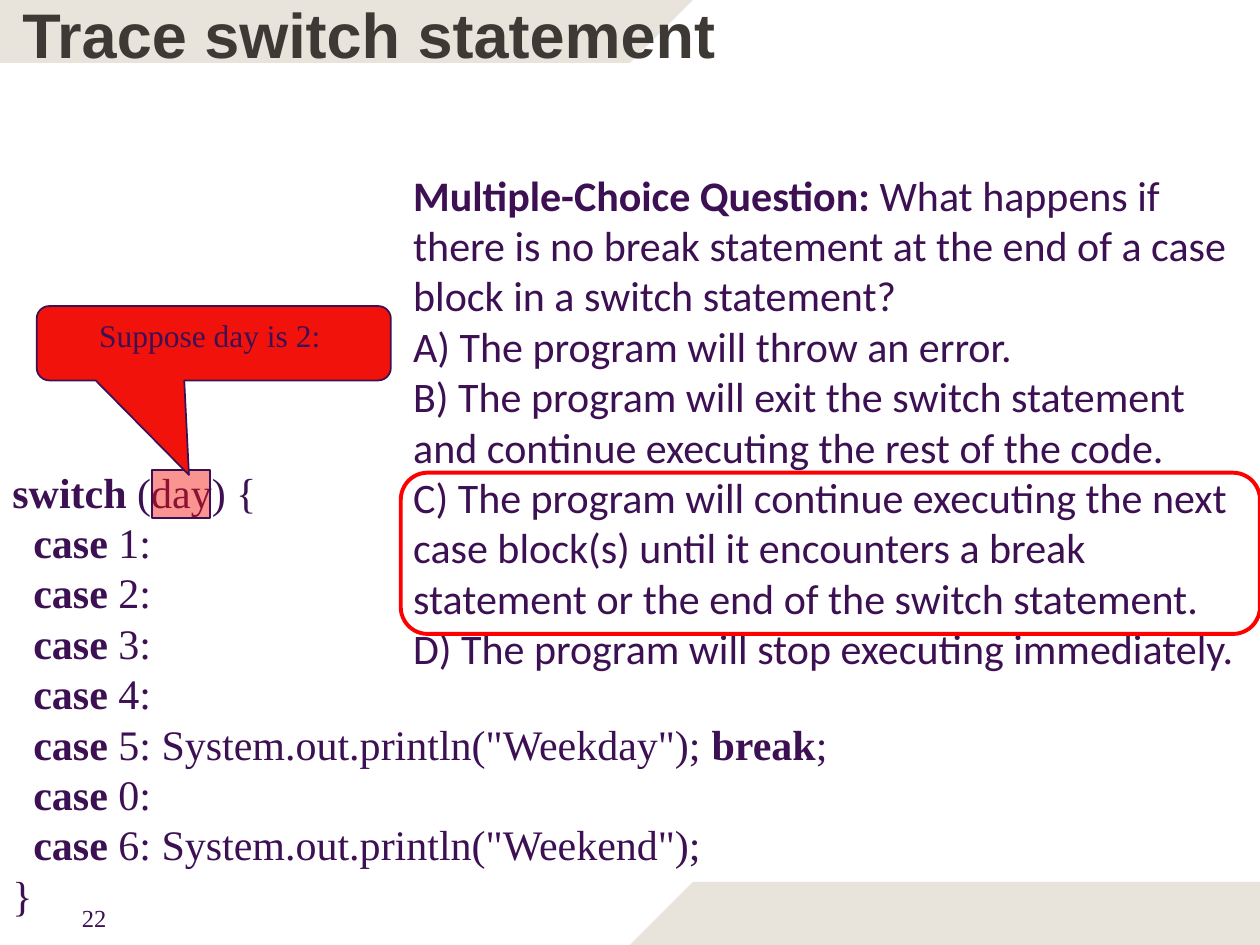
from dataclasses import dataclass

from lxml.etree import SubElement
from pptx import Presentation
from pptx.dml.color import RGBColor as Rgb
from pptx.enum.shapes import MSO_SHAPE as Shape
from pptx.enum.text import MSO_ANCHOR as Anchor, PP_ALIGN as Align
from pptx.oxml.ns import qn
from pptx.util import Cm, Pt

# Content: every paragraph is a list of (text, bold) spans
TITLE = "Trace switch statement"
PAGE_NUMBER = "22"
CALLOUT = "Suppose day is 2:"
CASES = [
    ("1", ""),
    ("2", ""),
    ("3", ""),
    ("4", ""),
    ("5", ' System.out.println("Weekday"); '),
    ("0", ""),
    ("6", ' System.out.println("Weekend");'),
]
BREAK_CASE = "5"
QUESTION = [
    ("Multiple-Choice Question: ", True),
    ("What happens if there is no break statement at the end of a case "
     "block in a switch statement?", False),
]
OPTIONS = [
    "A) The program will throw an error.",
    "B) The program will exit the switch statement and continue executing "
    "the rest of the code.",
    "C) The program will continue executing the next case block(s) until it "
    "encounters a break statement or the end of the switch statement.",
    "D) The program will stop executing immediately.",
]


@dataclass(frozen=True)
class Theme:
    ink = Rgb.from_string("3C1053")
    heading = Rgb.from_string("3D3935")
    band = Rgb.from_string("E8E3DB")
    red = Rgb.from_string("F2120C")
    answer = Rgb.from_string("FF0000")
    title_size, body_size, callout_size, number_size = Pt(36), Pt(24), Pt(18), Pt(14)
    sans, text, serif = "Arial", "Calibri", "Times New Roman"


# Places in centimetres: left, top, width, height
WIDTH, HEIGHT = 25.4, 19.05
BAND = [(0, 0), (13.97, 0), (12.7, 1.27), (0, 1.27)]
PLACES = {
    "number": (1.4, 18.08, 1.24, 0.69),
    "title": (0.2, -0.03, 22.23, 1.4),
    "code": (0, 9.27, 23.04, 9.5),
    "day": (3.07, 9.47, 1.17, 0.97),
    "callout": (0.74, 6.17, 7.14, 1.5),
    "question": (8.08, 3.23, 17.32, 10.52),
    "answer": (8.08, 9.53, 17.32, 3.25),
}


def place(name):
    return [Cm(length) for length in PLACES[name]]


def style(shape, fill=None, line=None, width=1):
    shape.shadow.inherit = False
    if fill is None:
        shape.fill.background()
    else:
        shape.fill.solid()
        shape.fill.fore_color.rgb = fill
    if line is None:
        shape.line.fill.background()
    else:
        shape.line.color.rgb = line
        shape.line.width = Pt(width)


def write(box, paragraphs, font, size, color=Theme.ink, anchor=Anchor.TOP, align=Align.LEFT):
    frame = box.text_frame
    frame.word_wrap = True
    frame.vertical_anchor = anchor
    for index, spans in enumerate(paragraphs):
        para = frame.add_paragraph() if index else frame.paragraphs[0]
        para.alignment = align
        para.font.name, para.font.size, para.font.color.rgb = font, size, color
        for text, bold in spans:
            if text == "\n":
                para.add_line_break()
                continue
            span = para.add_run()
            span.text, span.font.bold = text, bold


def code_lines():
    lines = [[("switch", True), (" (day) {", False)]]
    for label, action in CASES:
        line = [("  ", False), ("case", True), (f" {label}:{action}", False)]
        if label == BREAK_CASE:
            line += [("break", True), (";", False)]
        lines.append(line)
    return lines + [[("}", False)]]


def option_spans():
    spans = []
    for option in OPTIONS:
        spans += [("\n", False), (option, False)]
    return spans[1:]


def main():
    deck = Presentation()
    deck.slide_width, deck.slide_height = Cm(WIDTH), Cm(HEIGHT)
    page = deck.slides.add_slide(deck.slide_layouts[6])
    shapes = page.shapes

    # Slanted bands: the lower one is the upper one turned half round
    turned = [(WIDTH - x, HEIGHT - y) for x, y in BAND]
    turned[1:3] = [(5 * 2.54, HEIGHT), (5.5 * 2.54, HEIGHT - 1.27)]
    for corners in (BAND, turned):
        points = [(Cm(x), Cm(y)) for x, y in corners]
        builder = shapes.build_freeform(*points[0])
        builder.add_line_segments(points[1:], close=True)
        style(builder.convert_to_shape(), fill=Theme.band)

    # Page number, title and code
    write(shapes.add_textbox(*place("number")), [[(PAGE_NUMBER, False)]],
          Theme.serif, Theme.number_size)
    write(shapes.add_textbox(*place("title")), [[(TITLE, True)]],
          Theme.sans, Theme.title_size, Theme.heading, Anchor.MIDDLE)
    write(shapes.add_textbox(*place("code")), code_lines(), Theme.serif, Theme.body_size)

    # See-through highlight on the switch variable
    day = shapes.add_shape(Shape.RECTANGLE, *place("day"))
    style(day, Theme.red, Theme.ink)
    color = day.fill._xPr.find(qn("a:solidFill"))[0]
    SubElement(color, qn("a:alpha"), val="45000")

    # Callout pointing at the variable
    callout = shapes.add_shape(Shape.ROUNDED_RECTANGULAR_CALLOUT, *place("callout"))
    for index, value in enumerate((-0.07, 1.77, 0.17)):
        callout.adjustments[index] = value
    style(callout, Theme.red, Theme.ink)
    write(callout, [[(CALLOUT + " ", False)]], Theme.serif, Theme.callout_size,
          align=Align.CENTER)

    # Question with the right answer framed
    write(shapes.add_textbox(*place("question")), [QUESTION, option_spans()],
          Theme.text, Theme.body_size, anchor=Anchor.MIDDLE)
    style(shapes.add_shape(Shape.ROUNDED_RECTANGLE, *place("answer")),
          line=Theme.answer, width=2.25)

    deck.save("out.pptx")


if __name__ == "__main__":
    main()
